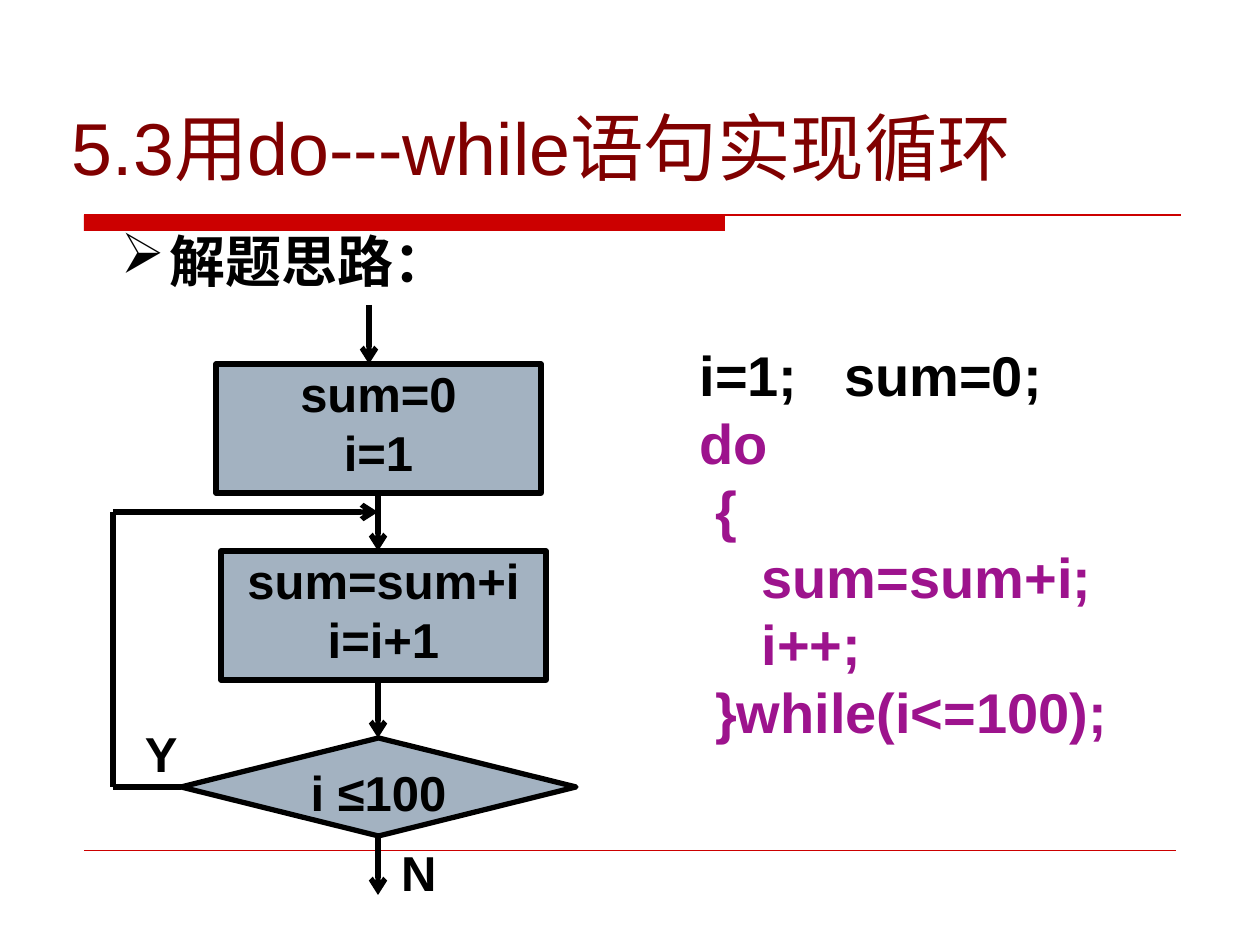
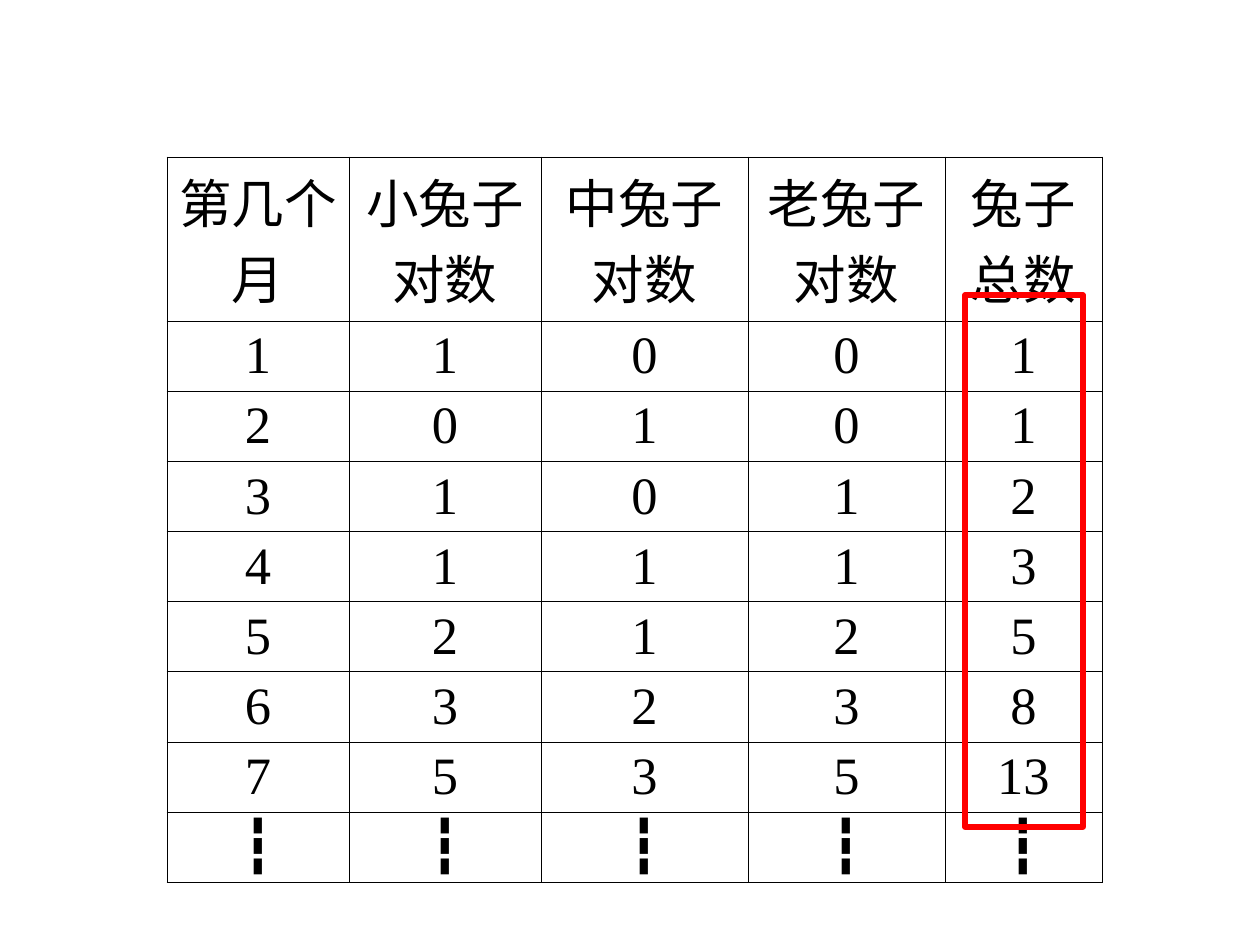
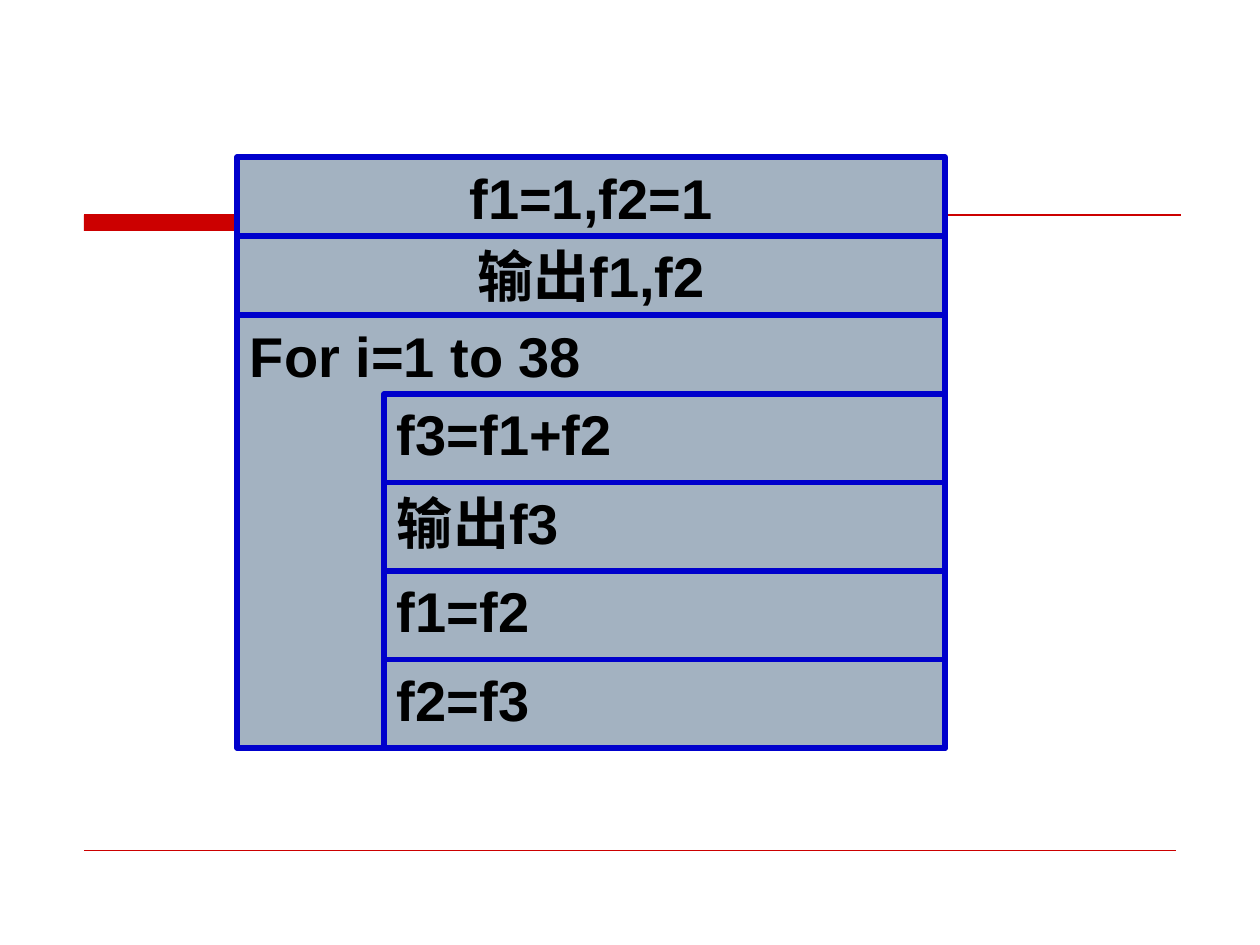
from dataclasses import dataclass

from lxml import etree
from pptx import Presentation
from pptx.dml.color import RGBColor
from pptx.enum.shapes import MSO_CONNECTOR, MSO_SHAPE
from pptx.enum.text import MSO_ANCHOR, PP_ALIGN
from pptx.oxml.ns import qn
from pptx.util import Pt

SCALE = 914400 / 126
LINE = MSO_CONNECTOR.STRAIGHT
RECT = MSO_SHAPE.RECTANGLE
STEP = MSO_SHAPE.FLOWCHART_PROCESS
TEST = MSO_SHAPE.FLOWCHART_DECISION
TOP, MID = MSO_ANCHOR.TOP, MSO_ANCHOR.MIDDLE
LEFT, MIDDLE = PP_ALIGN.LEFT, PP_ALIGN.CENTER


@dataclass(frozen=True)
class Theme:
    sans: str = "Arial"
    serif: str = "Times New Roman"
    black: str = "000000"
    title: str = "800000"
    band: str = "CC0000"
    fill: str = "A3B2C1"
    code: str = "9D138D"
    blue: str = "0000CC"
    mark: str = "FF0000"
    head: int = 42
    body: int = 32
    grid: int = 30
    flow: int = 28
    thick: int = 3
    lead: float = 1.2


T = Theme()


def px(n):
    return round(n * SCALE)


def tint(code):
    return RGBColor.from_string(code)


def add(node, tag, **attrs):
    return etree.SubElement(node, qn(tag), attrs)


# Text
def put(frame, text, size=T.body, ink=T.black, bold=True, font=T.sans,
        align=LEFT, anchor=TOP, pad=(13, 6), lead=T.lead, mark=None, hang=48):
    """Fill a frame with lines; a line is text or a (text, colour) pair."""
    frame.word_wrap = True
    frame.vertical_anchor = anchor
    frame.margin_left = frame.margin_right = px(pad[0])
    frame.margin_top = frame.margin_bottom = px(pad[1])
    lines = [text] if isinstance(text, str) else text
    for i, line in enumerate(lines):
        words, hue = (line, ink) if isinstance(line, str) else line
        para = frame.add_paragraph() if i else frame.paragraphs[0]
        para.alignment = align
        if lead:
            para.line_spacing = Pt(round(size * lead, 1))
        if mark:
            props = para._p.get_or_add_pPr()
            props.set("marL", str(px(hang)))
            props.set("indent", str(-px(hang)))
            add(add(props, "a:buClr"), "a:srgbClr", val=T.black)
            add(props, "a:buChar", char=mark)
        run = para.add_run()
        run.text = words
        run.font.name, run.font.size, run.font.bold = font, Pt(size), bold
        run.font.color.rgb = tint(hue)


def label(slide, area, text, **style):
    box = slide.shapes.add_textbox(*map(px, area))
    put(box.text_frame, text, **style)


# Shapes and lines
def block(slide, kind, area, fill=T.fill, edge=T.black, text=None, **style):
    shape = slide.shapes.add_shape(kind, *map(px, area))
    shape.shadow.inherit = False
    if fill:
        shape.fill.solid()
        shape.fill.fore_color.rgb = tint(fill)
    else:
        shape.fill.background()
    if edge:
        shape.line.color.rgb = tint(edge)
        shape.line.width = Pt(T.thick)
    else:
        shape.line.fill.background()
    if text:
        put(shape.text_frame, text, **style)


def link(slide, ends, ink=T.black, width=T.thick, arrow=False):
    line = slide.shapes.add_connector(LINE, *map(px, ends))
    line.line.color.rgb = tint(ink)
    line.line.width = Pt(width)
    if arrow:
        add(line.line._get_or_add_ln(), "a:tailEnd", type="arrow")
    add(line._element.spPr, "a:effectLst")


def frame(slide):
    block(slide, RECT, (84, 215, 641, 16), fill=T.band, edge=None)
    link(slide, (84, 215, 1181, 215), ink=T.band, width=0.75)
    link(slide, (84, 850, 1176, 850), ink=T.band, width=0.25)


# Table
def rule(cell, width=0.45):
    props = cell._tc.get_or_add_tcPr()
    for i, side in enumerate(("a:lnL", "a:lnR", "a:lnT", "a:lnB")):
        edge = etree.Element(qn(side), w=str(Pt(width)))
        add(add(edge, "a:solidFill"), "a:srgbClr", val=T.black)
        props.insert(i, edge)


def table(slide, left, top, cols, rows, data):
    area = (left, top, sum(cols), sum(rows))
    grid = slide.shapes.add_table(len(rows), len(cols), *map(px, area)).table
    grid.first_row = grid.horz_banding = False
    for col, width in zip(grid.columns, cols):
        col.width = px(width)
    for row, high, texts in zip(grid.rows, rows, data):
        row.height = px(high)
        for cell, text in zip(row.cells, texts):
            cell.fill.background()
            rule(cell)
            put(cell.text_frame, str(text), size=T.grid, font=T.serif,
                bold=False, align=MIDDLE, lead=None)
            cell.margin_left = cell.margin_right = px(10)
            cell.margin_top = cell.margin_bottom = px(6)


# Slides
def loop(slide):
    frame(slide)
    label(slide, (59, 96, 1162, 101), "5.3用do---while语句实现循环",
          size=T.head, ink=T.title, bold=False, anchor=MID)
    label(slide, (108, 207, 462, 118), "解题思路：", mark="➢",
          lead=T.lead * T.lead)

    # Flow chart
    steps = (
        (TEST, (181, 738, 395, 98), "i ≤100"),
        (STEP, (221, 551, 325, 129), ("sum=sum+i", "i=i+1")),
        (STEP, (216, 364, 325, 129), ("sum=0", "i=1")),
    )
    for kind, area, text in steps:
        block(slide, kind, area, text=text, size=T.flow, align=MIDDLE,
              pad=(0, 0))
    for x, y in ((369, 305), (378, 492), (378, 679), (378, 836)):
        link(slide, (x, y, x, y + 59), arrow=True)
    link(slide, (181, 787, 113, 787))
    link(slide, (113, 787, 113, 512))
    link(slide, (113, 512, 378, 512), arrow=True)
    for x, y, text in ((132, 718, "Y"), (388, 837, "N")):
        label(slide, (x, y, 69, 72), text, size=T.flow)

    # Code
    code = (
        ("   i=1;   sum=0;", T.black),
        "   do",
        "    {",
        "       sum=sum+i;",
        "       i++;",
        "    }while(i<=100);",
    )
    label(slide, (640, 335, 552, 462), code, ink=T.code)


def rabbits(slide):
    data = (
        ("第几个月", "小兔子对数", "中兔子对数", "老兔子对数", "兔子总数"),
        (1, 1, 0, 0, 1),
        (2, 0, 1, 0, 1),
        (3, 1, 0, 1, 2),
        (4, 1, 1, 1, 3),
        (5, 2, 1, 2, 5),
        (6, 3, 2, 3, 8),
        (7, 5, 3, 5, 13),
        ("┇",) * 5,
    )
    table(slide, 167, 157, (182, 192, 207, 197, 157), [135] + [67] * 8, data)
    block(slide, RECT, (965, 295, 118, 532), fill=None, edge=T.mark)


def nest(slide):
    frame(slide)
    left, top, wide, high = 237, 157, 708, 79
    parts = (
        ("f1=1,f2=1", high, MIDDLE),
        ("输出f1,f2", high, MIDDLE),
        ("For i=1 to 38", 433, LEFT),
    )
    for i, (text, tall, align) in enumerate(parts):
        block(slide, RECT, (left, top + i * high, wide, tall), edge=T.blue,
              text=text, align=align)

    # Loop body
    inset, gap = 147, 88.5
    for i, text in enumerate(("f3=f1+f2", "输出f3", "f1=f2", "f2=f3")):
        area = (left + inset, top + 3 * high + i * gap, wide - inset, gap)
        block(slide, STEP, area, edge=T.blue, text=text)


def main():
    deck = Presentation()
    deck.slide_width, deck.slide_height = px(1260), px(945)
    for draw in (loop, rabbits, nest):
        draw(deck.slides.add_slide(deck.slide_layouts[6]))
    deck.save("out.pptx")


if __name__ == "__main__":
    main()
